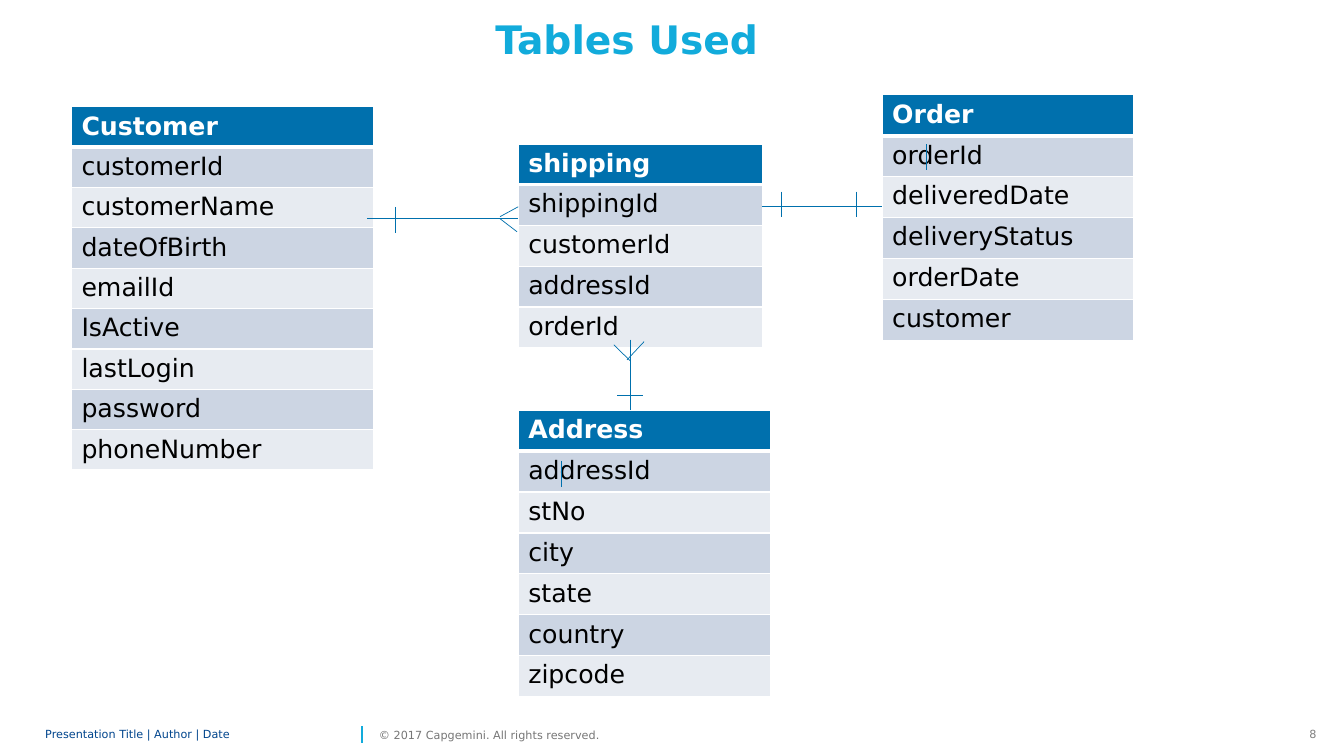
from lxml.etree import SubElement
from pptx import Presentation
from pptx.dml.color import RGBColor
from pptx.enum.shapes import MSO_CONNECTOR as Connector
from pptx.enum.text import MSO_ANCHOR as Anchor, PP_ALIGN as Align
from pptx.oxml.ns import qn
from pptx.util import Cm, Pt

FONT = "DejaVu Sans"
COLORS = {
    "title": "12ABDB", "header": "0070AD", "odd": "CCD5E3", "even": "E7EBF1",
    "white": "FFFFFF", "black": "000000", "author": "00458D",
    "copyright": "767676", "number": "808080",
}
TITLE = "Tables Used"
AUTHOR = "Presentation Title | Author | Date"
COPYRIGHT = "© 2017 Capgemini. All rights reserved."
PAGE_NUMBER = "8"

ENTITIES = [
    {"name": "Order", "at": (22.23, 2.39), "width": 6.35, "header": 1.03, "row": 1.03,
     "fields": ["orderId", "deliveredDate", "deliveryStatus", "orderDate", "customer"]},
    {"name": "shipping", "at": (13.06, 3.63), "width": 6.15, "header": 0.61, "row": 1.03,
     "fields": ["shippingId", "customerId", "addressId", "orderId"]},
    {"name": "Customer", "at": (1.8, 2.69), "width": 7.62, "header": 0.94, "row": 0.94,
     "fields": ["customerId", "customerName", "dateOfBirth", "emailId",
                "IsActive", "lastLogin", "password", "phoneNumber"]},
    {"name": "Address", "at": (13.06, 10.34), "width": 6.35, "header": 1.03, "row": 1.03,
     "fields": ["addressId", "stNo", "city", "state", "country", "zipcode"]},
]

RELATIONS = [
    (9.25, 5.51, 13.06, 5.51),
    (19.2, 5.21, 22.23, 5.21),
    (15.88, 8.56, 15.88, 10.34),
]
CROW_FEET = [
    (12.6, 5.51, 13.03, 5.84),
    (12.6, 5.46, 13.06, 5.21),
    (16.23, 8.61, 15.8, 9.07),
    (15.88, 9.09, 15.47, 8.69),
]
TICK_LENGTH = 0.65
TICK_TOPS = [(9.96, 5.21), (23.34, 3.63), (21.59, 4.83), (19.69, 4.83), (14.15, 11.61)]
ADDRESS_TICK = (15.55, 9.96)


def style(paragraph, size, color, bold=False):
    font = paragraph.runs[0].font
    font.name = FONT
    font.size = Pt(size)
    font.bold = bold
    font.color.rgb = RGBColor.from_string(COLORS[color])


def add_text(slide, text, box, size, color, bold=False, align=Align.LEFT,
             anchor=Anchor.TOP, wrap=True, margins=(0, 0)):
    shape = slide.shapes.add_textbox(*map(Cm, box))
    frame = shape.text_frame
    frame.text = text
    frame.word_wrap = wrap
    frame.vertical_anchor = anchor
    frame.margin_left = frame.margin_right = Cm(margins[0])
    frame.margin_top = frame.margin_bottom = Cm(margins[1])
    paragraph = frame.paragraphs[0]
    paragraph.alignment = align
    style(paragraph, size, color, bold)
    return paragraph


def add_line(slide, ends, color="header", width=0.5):
    line = slide.shapes.add_connector(Connector.STRAIGHT, *map(Cm, ends))
    line.line.color.rgb = RGBColor.from_string(COLORS[color])
    line.line.width = Pt(width)
    SubElement(line._element.spPr, qn("a:effectLst"))


def set_borders(cell, bottom):
    properties = cell._tc.get_or_add_tcPr()
    widths = {"a:lnL": 1, "a:lnR": 1, "a:lnT": 1, "a:lnB": bottom}
    for index, (tag, width) in enumerate(widths.items()):
        border = SubElement(properties, qn(tag), w=str(Pt(width)))
        fill = SubElement(border, qn("a:solidFill"))
        SubElement(fill, qn("a:srgbClr"), val=COLORS["white"])
        properties.insert(index, border)


def add_entity(slide, entity):
    texts = [entity["name"], *entity["fields"]]
    heights = [entity["header"]] + [entity["row"]] * len(entity["fields"])
    box = (*entity["at"], entity["width"], sum(heights))
    table = slide.shapes.add_table(len(texts), 1, *map(Cm, box)).table
    for index, (text, height) in enumerate(zip(texts, heights)):
        is_header = index == 0
        fill = "header" if is_header else "odd" if index % 2 else "even"
        table.rows[index].height = Cm(height)
        cell = table.cell(index, 0)
        cell.text_frame.text = text
        cell.fill.solid()
        cell.fill.fore_color.rgb = RGBColor.from_string(COLORS[fill])
        style(cell.text_frame.paragraphs[0], 18, "white" if is_header else "black", is_header)
        set_borders(cell, 3 if is_header else 1)


def main():
    presentation = Presentation()
    presentation.slide_width = Cm(33.87)
    presentation.slide_height = Cm(19.05)
    slide = presentation.slides.add_slide(presentation.slide_layouts[6])

    add_text(slide, PAGE_NUMBER, (32.74, 18.21, 0.69, 0.61), 8, "number",
             align=Align.RIGHT, wrap=False, margins=(0.25, 0.13))
    add_line(slide, (9.12, 18.72, 9.12, 18.29), "title", 1)
    author = add_text(slide, AUTHOR, (1.14, 18.21, 7.85, 0.61), 8, "author",
                      anchor=Anchor.MIDDLE)
    author.line_spacing = 0.85
    add_text(slide, COPYRIGHT, (9.55, 18.21, 6.17, 0.61), 8, "copyright",
             anchor=Anchor.MIDDLE, wrap=False)
    title = add_text(slide, TITLE, (8.1, 0.79, 15.39, 1.22), 28, "title",
                     bold=True, align=Align.CENTER)
    title.line_spacing = Pt(22)
    title.space_after = Pt(6)

    for entity in ENTITIES:
        add_entity(slide, entity)
    ticks = [(x, y, x, y + TICK_LENGTH) for x, y in TICK_TOPS]
    left, top = ADDRESS_TICK
    ticks.append((left, top, left + TICK_LENGTH, top))
    for ends in RELATIONS + CROW_FEET + ticks:
        add_line(slide, ends)

    presentation.save("out.pptx")


if __name__ == "__main__":
    main()
